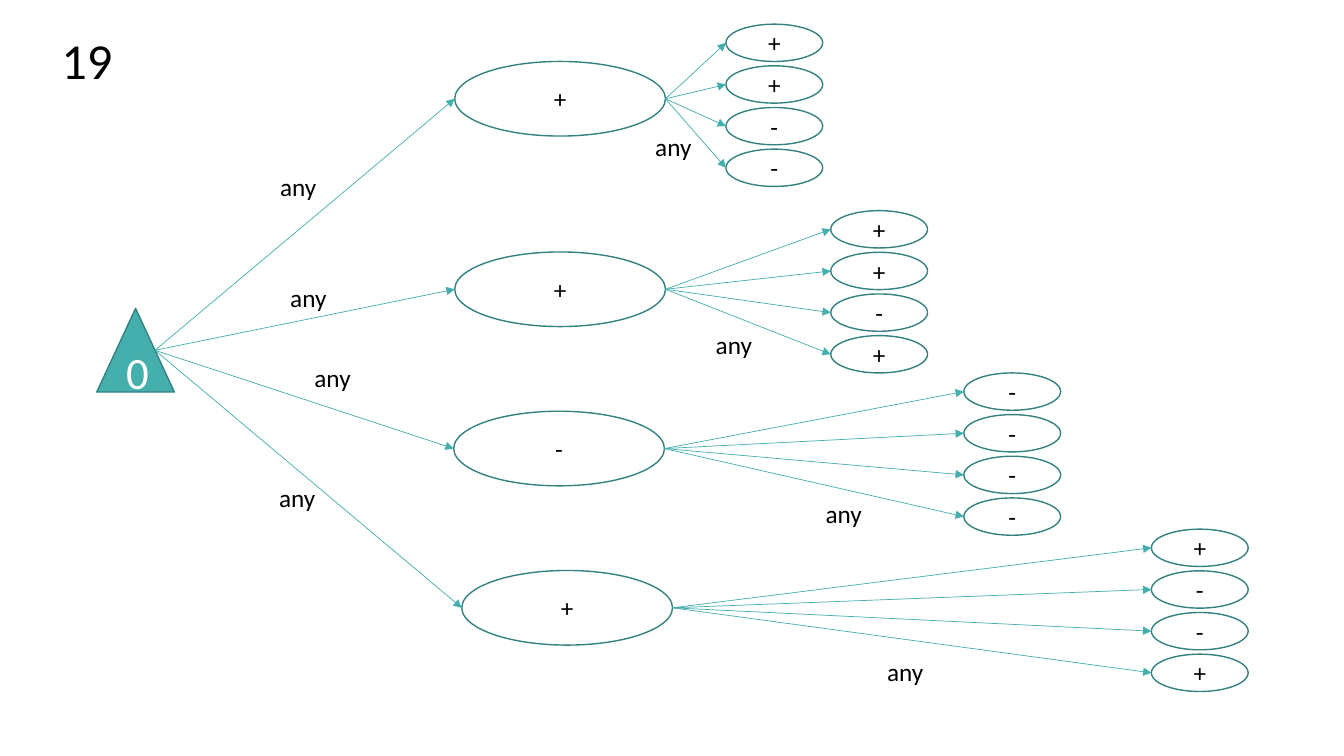
from dataclasses import dataclass

from lxml import etree
from pptx import Presentation
from pptx.dml.color import RGBColor
from pptx.enum.shapes import MSO_CONNECTOR, MSO_SHAPE
from pptx.enum.text import MSO_ANCHOR, MSO_AUTO_SIZE, PP_ALIGN
from pptx.oxml.ns import qn
from pptx.shapes.autoshape import Shape
from pptx.slide import Slide
from pptx.text.text import TextFrame
from pptx.util import Inches, Pt

ELLIPSE, TRIANGLE = MSO_SHAPE.OVAL, MSO_SHAPE.ISOSCELES_TRIANGLE
STRAIGHT = MSO_CONNECTOR.STRAIGHT
LEFT, CENTER = PP_ALIGN.LEFT, PP_ALIGN.CENTER
TOP, MIDDLE = MSO_ANCHOR.TOP, MSO_ANCHOR.MIDDLE
GROW = MSO_AUTO_SIZE.SHAPE_TO_FIT_TEXT

TEAL = RGBColor(0x45, 0xAF, 0xAD)
DARK = RGBColor(0x33, 0x81, 0x80)
WHITE = RGBColor(0xFF, 0xFF, 0xFF)
BLACK = RGBColor(0x00, 0x00, 0x00)
FONT = "Calibri"

ROOT = (0.96, 3.06, 0.77, 0.83)
NODE_W, NODE_H = 2.09, 0.74
LEAF_W, LEAF_H = 0.96, 0.37
LEAF_STEP = 1.24 / 3
LABEL_W, LABEL_H = 0.68, 0.4

Point = tuple[float, float]
Box = tuple[float, float, float, float]


@dataclass(frozen=True)
class Branch:
    """One second-level node, its leaves, and the two edge labels."""
    sign: str
    node: Point
    leaves: str
    first: Point
    near: Point
    far: Point


BRANCHES = (
    Branch("+", (4.51, 0.61), "++--", (7.2, 0.24), (2.68, 1.65), (6.4, 1.25)),
    Branch("+", (4.51, 2.5), "++-+", (8.24, 2.09), (2.78, 2.75), (7.0, 3.22)),
    Branch("-", (4.5, 4.08), "----", (9.56, 3.7), (3.02, 3.55), (8.09, 4.89)),
    Branch("+", (4.58, 5.66), "+--+", (11.42, 5.25), (2.67, 4.74), (8.7, 6.46)),
)


def write(frame: TextFrame, text: str, size: int, color: RGBColor,
          align: PP_ALIGN, anchor: MSO_ANCHOR) -> None:
    frame.text = text
    frame.word_wrap = True
    frame.vertical_anchor = anchor
    line = frame.paragraphs[0]
    line.alignment = align
    font = line.runs[0].font
    font.name, font.size = FONT, Pt(size)
    font.color.rgb = color


def add_node(slide: Slide, kind: MSO_SHAPE, box: Box, text: str,
             size: int = 18, fill: RGBColor = WHITE,
             color: RGBColor = BLACK) -> Shape:
    node = slide.shapes.add_shape(kind, *map(Inches, box))
    node.shadow.inherit = False
    node.fill.solid()
    node.fill.fore_color.rgb = fill
    node.line.color.rgb = DARK
    node.line.width = Pt(1)
    write(node.text_frame, text, size, color, CENTER, MIDDLE)
    return node


def add_arrow(slide: Slide, start: Point, end: Point) -> None:
    arrow = slide.shapes.add_connector(STRAIGHT, *map(Inches, start + end))
    arrow.line.color.rgb = TEAL
    arrow.line.width = Pt(0.5)
    etree.SubElement(arrow.line._get_or_add_ln(), qn("a:tailEnd"),
                     type="triangle")
    etree.SubElement(arrow._element.spPr, qn("a:effectLst"))


def add_label(slide: Slide, at: Point) -> None:
    box = slide.shapes.add_textbox(*map(Inches, at + (LABEL_W, LABEL_H)))
    write(box.text_frame, "any", 18, BLACK, LEFT, TOP)
    box.text_frame.auto_size = GROW


def add_title(slide: Slide, text: str) -> None:
    title = slide.shapes.title
    title.left, title.top = Inches(0.51), Inches(0.24)
    title.width, title.height = Inches(2.09), Inches(0.71)
    write(title.text_frame, text, 36, BLACK, LEFT, TOP)
    title.text_frame.auto_size = GROW


def add_branch(slide: Slide, branch: Branch, root: Point) -> None:
    x, y = branch.node
    mid = y + NODE_H / 2
    add_node(slide, ELLIPSE, (x, y, NODE_W, NODE_H), branch.sign)
    add_arrow(slide, root, (x, mid))
    left, top = branch.first
    for row, sign in enumerate(branch.leaves):
        leaf = top + row * LEAF_STEP
        add_node(slide, ELLIPSE, (left, leaf, LEAF_W, LEAF_H), sign)
        add_arrow(slide, (x + NODE_W, mid), (left, leaf + LEAF_H / 2))
    add_label(slide, branch.near)
    add_label(slide, branch.far)


def main() -> None:
    deck = Presentation()
    deck.slide_width, deck.slide_height = Inches(13.33), Inches(7.5)
    slide = deck.slides.add_slide(deck.slide_layouts.get_by_name("Title Only"))
    add_title(slide, "19")
    add_node(slide, TRIANGLE, ROOT, "0", 32, TEAL, WHITE)
    x, y, w, h = ROOT
    for branch in BRANCHES:
        add_branch(slide, branch, (x + w * 3 / 4, y + h / 2))
    deck.save("out.pptx")


if __name__ == "__main__":
    main()
